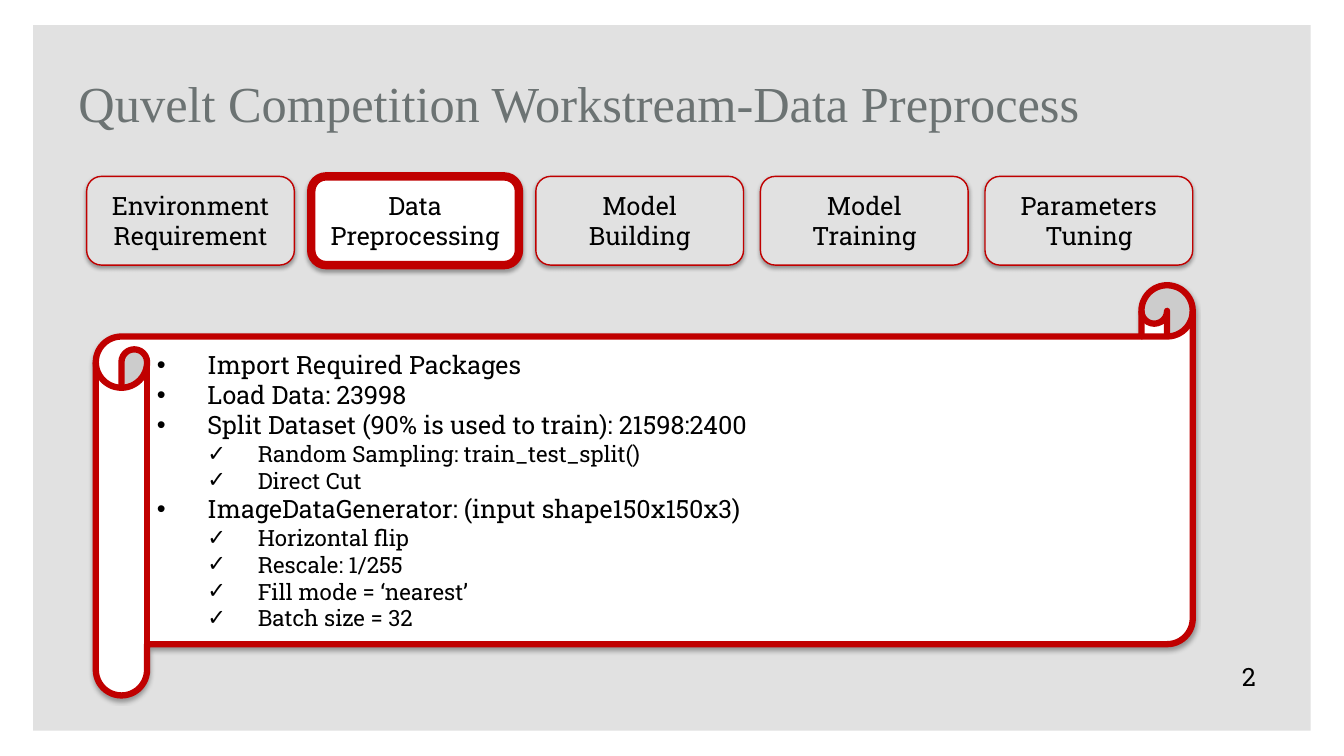
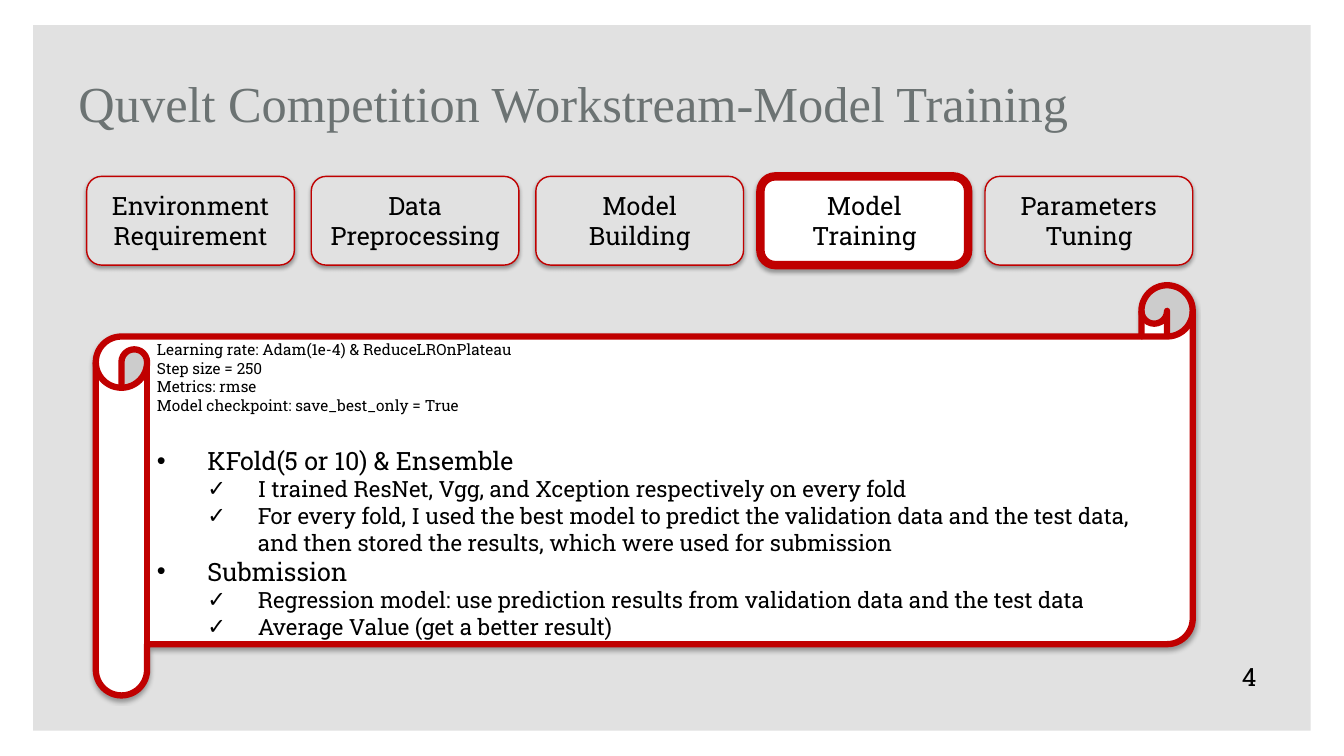
from dataclasses import dataclass

from lxml import etree
from pptx import Presentation
from pptx.dml.color import RGBColor as RGB
from pptx.enum.shapes import MSO_SHAPE as SHAPE
from pptx.enum.text import MSO_ANCHOR as ANCHOR, PP_ALIGN as ALIGN
from pptx.oxml import parse_xml
from pptx.oxml.ns import nsdecls, qn
from pptx.util import Inches, Pt


@dataclass(frozen=True)
class Theme:
    panel: RGB = RGB(0xE1, 0xE1, 0xE1)
    paper: RGB = RGB(0xFF, 0xFF, 0xFF)
    accent: RGB = RGB(0xC0, 0x00, 0x00)
    title: RGB = RGB(0x6C, 0x73, 0x73)
    text: RGB = RGB(0x00, 0x00, 0x00)
    title_font: str = "Times New Roman"
    body_font: str = "Roboto Slab"
    title_size: int = 36
    body_size: int = 18
    sub_size: int = 16
    note_size: int = 11
    step_line: float = 1
    active_line: float = 6
    scroll_line: float = 4.5


STEPS = ["Environment\nRequirement", "Data Preprocessing", "Model Building",
         "Model Training", "Parameters Tuning"]
BULLETS = {"main": ("•", 0.5), "sub": ("✓", 1)}
HANGING = 0.5

SHADOW = (
    f'<a:effectLst {nsdecls("a")}>'
    '<a:outerShdw blurRad="39370" dist="22860" dir="5400000" rotWithShape="0">'
    '<a:srgbClr val="000000"><a:alpha val="35000"/></a:srgbClr>'
    '</a:outerShdw></a:effectLst>'
)

SLIDES = [
    {
        "title": "Quvelt Competition Workstream-Data Preprocess",
        "active": 1,
        "number": 2,
        "lines": [
            ("main", "Import Required Packages"),
            ("main", "Load Data: 23998"),
            ("main", "Split Dataset (90% is used to train): 21598:2400"),
            ("sub", "Random Sampling: train_test_split()"),
            ("sub", "Direct Cut"),
            ("main", "ImageDataGenerator: (input shape150x150x3)"),
            ("sub", "Horizontal flip"),
            ("sub", "Rescale: 1/255"),
            ("sub", "Fill mode = ‘nearest’"),
            ("sub", "Batch size = 32"),
        ],
    },
    {
        "title": "Quvelt Competition Workstream-Model Training",
        "active": 3,
        "number": 4,
        "lines": [
            ("note", "Learning rate: Adam(1e-4) & ReduceLROnPlateau"),
            ("note", "Step size = 250"),
            ("note", "Metrics: rmse"),
            ("note", "Model checkpoint: save_best_only = True"),
            ("main", "KFold(5 or 10) & Ensemble"),
            ("sub", "I trained ResNet, Vgg, and Xception respectively on every fold"),
            ("sub", "For every fold, I used the best model to predict the validation "
                    "data and the test data, and then stored the results, which were "
                    "used for submission"),
            ("main", "Submission"),
            ("sub", "Regression model: use prediction results from validation data "
                    "and the test data"),
            ("sub", "Average Value (get a better result)"),
        ],
    },
]


class Deck:
    def __init__(self, theme):
        self.theme = theme
        self.prs = Presentation()
        self.prs.slide_width = Inches(13.33)
        self.prs.slide_height = Inches(7.5)
        self.s = None

    def new_slide(self):
        self.s = self.prs.slides.add_slide(self.prs.slide_layouts[6])
        self.shape(SHAPE.RECTANGLE, (0.33, 0.25, 12.67, 7), self.theme.panel)

    def shape(self, kind, box, fill, line=None):
        sp = self.s.shapes.add_shape(kind, *map(Inches, box))
        sp.fill.solid()
        sp.fill.fore_color.rgb = fill
        if line is None:
            sp.line.fill.background()
            sp.shadow.inherit = False
        else:
            sp.line.color.rgb = self.theme.accent
            sp.line.width = Pt(line)
            sp._element.spPr.append(parse_xml(SHADOW))
        tf = sp.text_frame
        tf.word_wrap = True
        tf.vertical_anchor = ANCHOR.MIDDLE
        return sp

    def paragraph(self, tf, first, text, size, align=ALIGN.LEFT, font=None, color=None):
        p = tf.paragraphs[0] if first else tf.add_paragraph()
        p.alignment = align
        r = p.add_run()
        r.text = text
        r.font.size = Pt(size)
        r.font.name = font or self.theme.body_font
        r.font.color.rgb = color or self.theme.text
        return p

    def text_box(self, box, text, size, wrap=True, anchor=ANCHOR.TOP, **style):
        tf = self.s.shapes.add_textbox(*map(Inches, box)).text_frame
        tf.word_wrap = wrap
        tf.vertical_anchor = anchor
        self.paragraph(tf, True, text, size, **style)

    def title(self, text):
        t = self.theme
        self.text_box((0.68, 0.48, 10.55, 1.07), text, t.title_size,
                      anchor=ANCHOR.MIDDLE, font=t.title_font, color=t.title)

    def steps(self, active):
        t = self.theme
        left, right, width = 0.86, 11.83, 2.06
        pitch = (right - width - left) / (len(STEPS) - 1)
        for i, label in enumerate(STEPS):
            fill, line = (t.paper, t.active_line) if i == active else (t.panel, t.step_line)
            sp = self.shape(SHAPE.ROUNDED_RECTANGLE,
                            (left + i * pitch, 1.75, width, 0.88), fill, line)
            for j, part in enumerate(label.split("\n")):
                self.paragraph(sp.text_frame, j == 0, part, t.body_size, ALIGN.CENTER)

    def bullet(self, p, char, indent):
        pPr = p._p.get_or_add_pPr()
        pPr.set("marL", str(Inches(indent)))
        pPr.set("indent", str(-Inches(HANGING)))
        etree.SubElement(pPr, qn("a:buFont")).set("typeface", "Arial")
        etree.SubElement(pPr, qn("a:buChar")).set("char", char)

    def scroll(self, lines):
        t = self.theme
        sizes = {"main": t.body_size, "sub": t.sub_size, "note": t.note_size}
        sp = self.shape(SHAPE.HORIZONTAL_SCROLL, (0.95, 2.83, 10.88, 4.07),
                        t.paper, t.scroll_line)
        previous = None
        for kind, text in lines:
            p = self.paragraph(sp.text_frame, previous is None, text, sizes[kind])
            if previous == "note" and kind == "main":
                p.space_before = Pt(22)
            if kind in BULLETS:
                p.level = 1 if kind == "sub" else 0
                self.bullet(p, *BULLETS[kind])
            previous = kind

    def page_number(self, number):
        self.text_box((12.22, 6.51, 0.34, 0.4), str(number),
                      self.theme.body_size, wrap=False)


def main():
    deck = Deck(Theme())
    for content in SLIDES:
        deck.new_slide()
        deck.title(content["title"])
        deck.steps(content["active"])
        deck.scroll(content["lines"])
        deck.page_number(content["number"])
    deck.prs.save("out.pptx")


if __name__ == "__main__":
    main()
